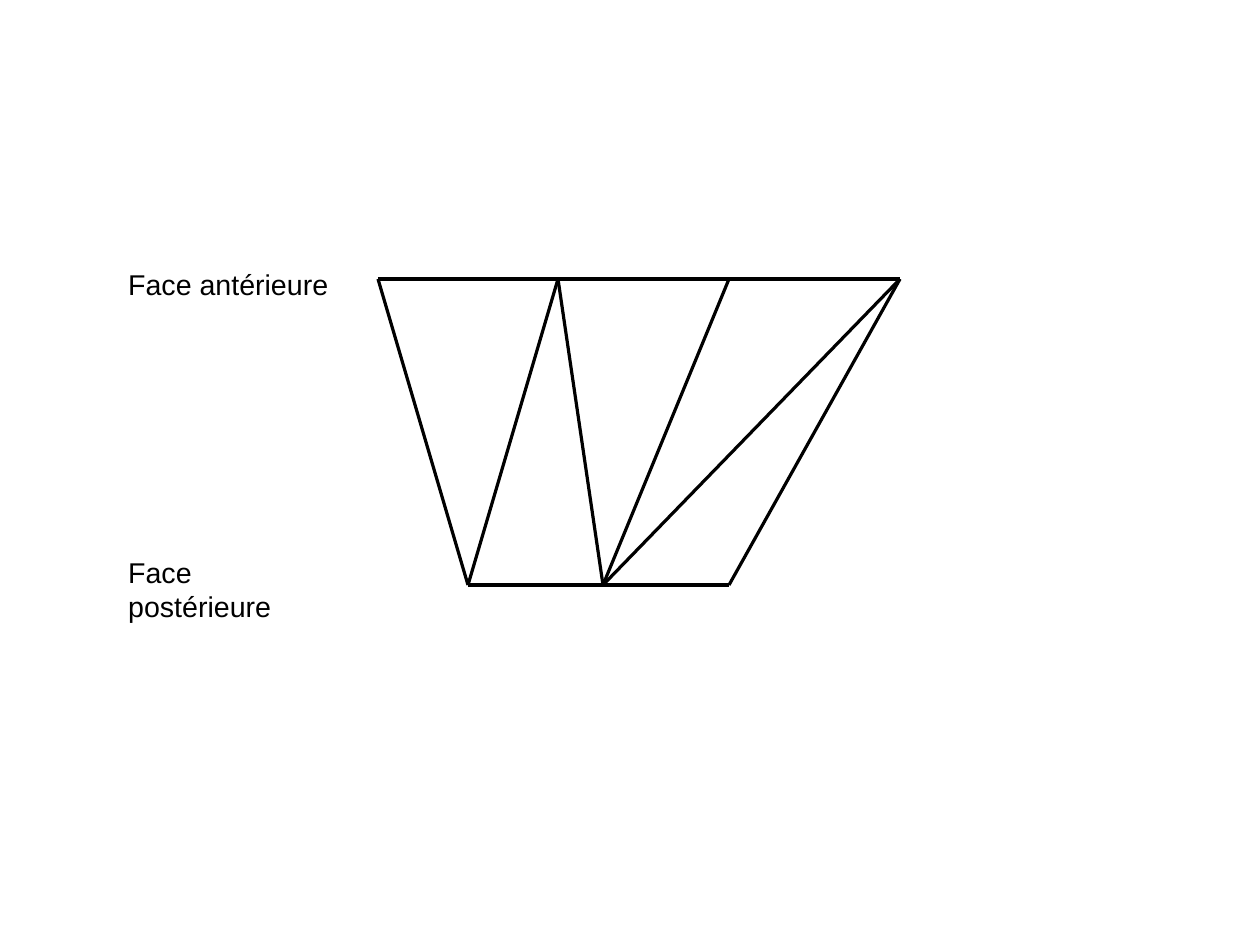
from lxml import etree
from pptx import Presentation
from pptx.dml.color import RGBColor
from pptx.enum.shapes import MSO_CONNECTOR
from pptx.enum.text import MSO_AUTO_SIZE
from pptx.oxml.ns import qn
from pptx.util import Cm, Pt

STRAIGHT = MSO_CONNECTOR.STRAIGHT
FIT_TEXT = MSO_AUTO_SIZE.SHAPE_TO_FIT_TEXT
BLACK = "000000"


def color(hex_code):
    return RGBColor.from_string(hex_code)


prs = Presentation()
prs.slide_width, prs.slide_height = Cm(28), Cm(21)
slide = prs.slides.add_slide(prs.slide_layouts[6])

# Face labels: text, top and width in centimetres
for label, top, width in [("Face antérieure", 5.8, 4.95),
                          ("Face postérieure", 12.2, 5.25)]:
    frame = slide.shapes.add_textbox(Cm(2.6), Cm(top), Cm(width), Cm(0.97)).text_frame
    frame.word_wrap = False
    frame.auto_size = FIT_TEXT
    face = frame.paragraphs[0]
    face.text = label
    face.font.name = "Arial"
    face.font.size = Pt(18)
    face.font.color.rgb = color(BLACK)

# Vertices on the two faces, in centimetres
front_y, back_y = 6.2, 13
front = [(x, front_y) for x in (8.4, 12.4, 16.2, 20)]
back = [(x, back_y) for x in (10.4, 13.4, 16.2)]

# Pairs of (front, back) vertices joined across the faces
links = [(0, 0), (1, 0), (1, 1), (2, 1), (3, 1), (3, 2)]
edges = [(front[0], front[-1]), (back[0], back[-1])]
edges += [(front[i], back[j]) for i, j in links]

for (x1, y1), (x2, y2) in edges:
    edge = slide.shapes.add_connector(STRAIGHT, Cm(x1), Cm(y1), Cm(x2), Cm(y2))
    edge.line.color.rgb = color(BLACK)
    edge.line.width = Pt(0)
    etree.SubElement(edge._element.spPr, qn("a:effectLst"))

prs.save("out.pptx")
